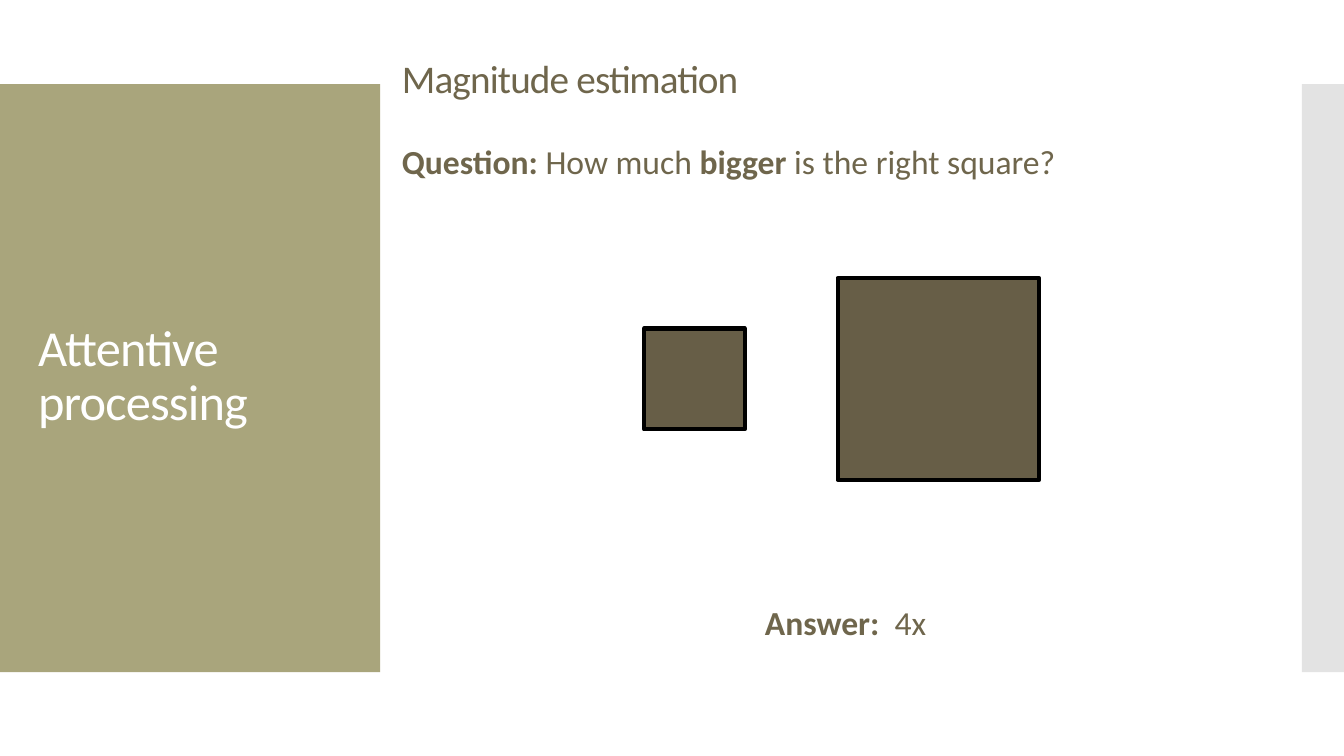
from pptx import Presentation
from pptx import util as u
from pptx.dml.color import RGBColor
from pptx.enum import shapes, text

theme = {
    "font": "Calibri",
    "olive": RGBColor.from_string("A9A57C"),
    "grey": RGBColor.from_string("E3E3E3"),
    "brown": RGBColor.from_string("675E47"),
    "ink": RGBColor.from_string("6F664C"),
    "black": RGBColor.from_string("000000"),
    "white": RGBColor.from_string("FFFFFF"),
    "section": u.Pt(36),
    "heading": u.Pt(28),
    "body": u.Pt(24),
    "outline": u.Pt(3),
}

deck = Presentation()
deck.slide_width, deck.slide_height = u.Cm(33.87), u.Cm(19.05)
page = deck.slides.add_slide(deck.slide_layouts[6])


def add_rectangle(left, top, width, height, fill, outlined=False):
    shape = page.shapes.add_shape(
        shapes.MSO_SHAPE.RECTANGLE, *map(u.Cm, (left, top, width, height)))
    shape.shadow.inherit = False
    shape.fill.solid()
    shape.fill.fore_color.rgb = theme[fill]
    if outlined:
        shape.line.color.rgb = theme["black"]
        shape.line.width = theme["outline"]
    else:
        shape.line.fill.background()


def add_text(place, spans, size, color="ink", anchor="TOP", align="LEFT", tight=False):
    box = page.shapes.add_textbox(*map(u.Cm, place))
    frame = box.text_frame
    frame.word_wrap = True
    frame.vertical_anchor = text.MSO_ANCHOR[anchor]
    para = frame.paragraphs[0]
    para.alignment = text.PP_ALIGN[align]
    if tight:
        para.line_spacing = 0.9
    for words, bold in spans:
        span = para.add_run()
        span.text = words
        span.font.color.rgb = theme[color]
        formats = {"name": theme["font"], "size": theme[size], "bold": bold}
        for key, value in formats.items():
            setattr(span.font, key, value)
        if tight:
            span.font._element.set("spc", "-60")


band_top, band_height = 2.12, 14.82
add_rectangle(0, band_top, 9.58, band_height, "olive")
add_rectangle(32.81, band_top, 1.06, band_height, "grey")

squares_middle, small_side = 9.55, 2.54
for left, side in ((16.23, small_side), (21.11, 2 * small_side)):
    add_rectangle(left, squares_middle - side / 2, side, side, "brown", outlined=True)

content_left, content_width = 9.88, 22.86
add_text((0.71, 3.12, 8.18, 12.78), [("Attentive processing", False)],
         "section", color="white", anchor="MIDDLE", tight=True)
add_text((content_left, 0.66, content_width, 2.74), [("Magnitude estimation", False)],
         "heading", anchor="MIDDLE", tight=True)
add_text((content_left, 3.43, content_width, 1.3),
         [("Question: ", True), ("How much ", False), ("bigger ", True),
          ("is the right square?", False)], "body")
add_text((content_left, 15.04, content_width, 1.3),
         [("Answer: ", True), (" 4x", False)], "body", align="CENTER")

deck.save("out.pptx")
